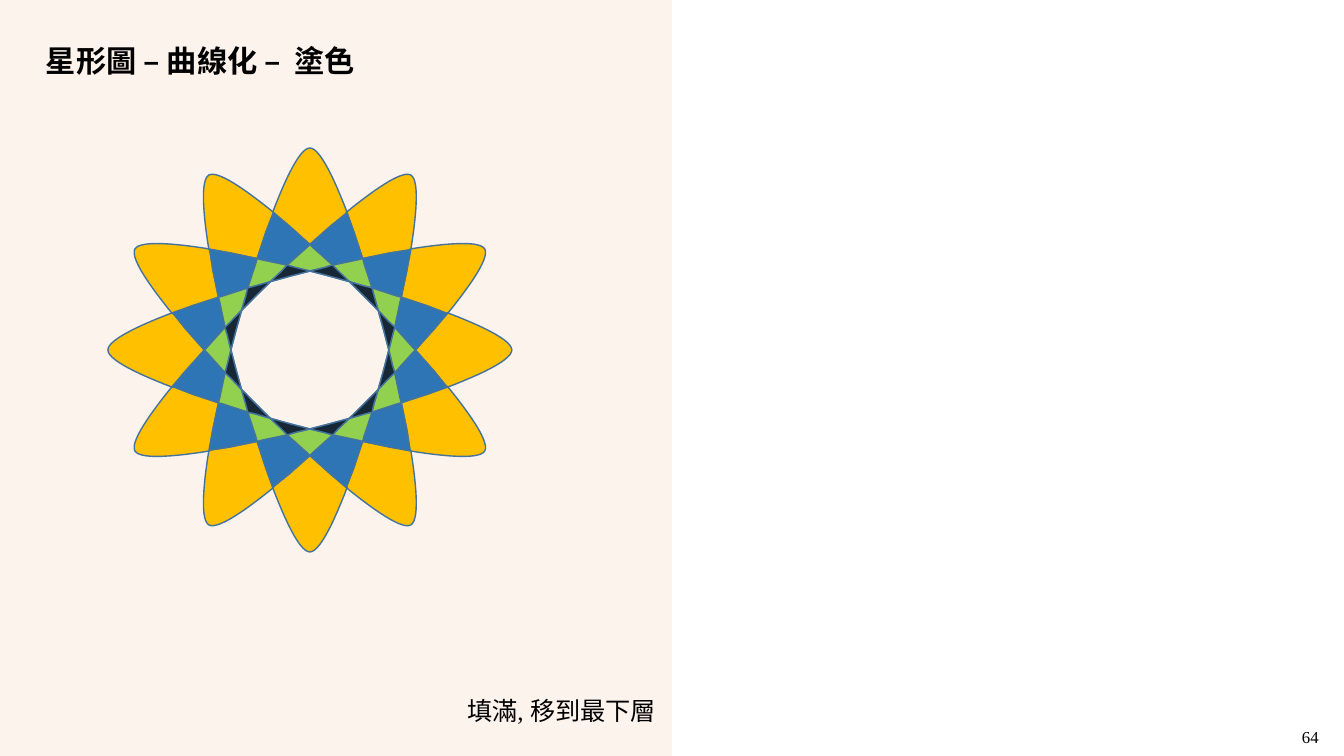
from dataclasses import dataclass
from math import cos, radians, sin

from lxml import etree
from pptx import Presentation
from pptx import util as u
from pptx.dml.color import RGBColor
from pptx.enum import shapes, text
from pptx.oxml import ns

Point = tuple[float, float]

PETALS = 12
CENTRE: Point = (7.81, 8.82)
OUTLINE = "43739E"
CJK_FONT = "Noto Sans CJK SC"
LATIN_FONT = "Times New Roman"


@dataclass(frozen=True)
class Ring:
    fill: str
    tile: list[Point]


@dataclass(frozen=True)
class Label:
    wording: str
    left: float
    top: float
    width: float
    height: float
    size: float
    font: str = LATIN_FONT
    bold: bool = False
    wrap: bool = True
    anchor: text.MSO_ANCHOR = text.MSO_ANCHOR.MIDDLE
    align: text.PP_ALIGN = text.PP_ALIGN.LEFT
    spacing: float = 1.0
    outline: shapes.MSO_SHAPE = shapes.MSO_SHAPE.RECTANGLE


def colour(code: str) -> RGBColor:
    return RGBColor.from_string(code)


def curve(start: Point, pull: Point, push: Point, end: Point, steps: int = 12) -> list[Point]:
    def along(t: float, axis: int) -> float:
        s = 1 - t
        return (s**3 * start[axis] + 3 * s * s * t * pull[axis]
                + 3 * s * t * t * push[axis] + t**3 * end[axis])

    return [(along(i / steps, 0), along(i / steps, 1)) for i in range(steps + 1)]


def mirrored(half: list[Point]) -> list[Point]:
    return half + [(-x, y) for x, y in half[-2:0:-1]]


def rotated(points: list[Point], degrees: float) -> list[Point]:
    c, s = cos(radians(degrees)), sin(radians(degrees))
    return [(x * c - y * s, x * s + y * c) for x, y in points]


def all_turns(points: list[Point]) -> list[list[Point]]:
    return [rotated(points, turn * 360 / PETALS) for turn in range(PETALS)]


def set_alpha(properties, percent: int) -> None:
    shade = properties.find(".//" + ns.qn("a:srgbClr"))
    etree.SubElement(shade, ns.qn("a:alpha")).set("val", str(percent * 1000))


def draw_outline(slide, points: list[Point], fill: str | None = None):
    placed = [(u.Cm(CENTRE[0] + x), u.Cm(CENTRE[1] + y)) for x, y in points]
    builder = slide.shapes.build_freeform(*placed[0])
    builder.add_line_segments(placed[1:], close=True)
    outline = builder.convert_to_shape()
    outline.shadow.inherit = False
    outline.line.color.rgb = colour(OUTLINE)
    outline.line.width = u.Pt(1)
    if fill:
        outline.fill.solid()
        outline.fill.fore_color.rgb = colour(fill)
    else:
        outline.fill.background()
    return outline


def draw_ring(slide, ring: Ring) -> None:
    tiles = [draw_outline(slide, tile, ring.fill) for tile in all_turns(ring.tile)]
    slide.shapes.add_group_shape(tiles)


def draw_label(slide, label: Label) -> None:
    box = slide.shapes.add_shape(
        label.outline, *map(u.Cm, (label.left, label.top, label.width, label.height)))
    box.shadow.inherit = False
    box.fill.background()
    box.line.fill.background()
    frame = box.text_frame
    frame.text = label.wording
    frame.word_wrap = label.wrap
    frame.vertical_anchor = label.anchor
    paragraph = frame.paragraphs[0]
    paragraph.alignment = label.align
    paragraph.line_spacing = label.spacing
    run = paragraph.runs[0]
    run.font.name = label.font
    run.font.size = u.Pt(label.size)
    run.font.bold = label.bold
    run.font.color.rgb = colour("000000")
    east_asian = etree.SubElement(run.font._element, ns.qn("a:ea"))
    east_asian.set("typeface", CJK_FONT)


def draw_left_half(slide, width: float, height: float) -> None:
    panel = slide.shapes.add_shape(
        shapes.MSO_SHAPE.RECTANGLE, 0, 0, u.Cm(width), u.Cm(height))
    panel.shadow.inherit = False
    panel.fill.solid()
    panel.fill.fore_color.rgb = colour("F4B183")
    set_alpha(panel._element.spPr, 14)
    panel.line.fill.background()
    divider = slide.shapes.add_connector(
        shapes.MSO_CONNECTOR.STRAIGHT, u.Cm(width), u.Cm(height), u.Cm(width), 0)
    divider.line.color.rgb = colour("FBE5D6")
    divider.line.width = u.Pt(0.25)
    set_alpha(divider._element.spPr, 50)
    etree.SubElement(divider._element.spPr, ns.qn("a:effectLst"))


PETAL_SIDE = curve((0, -5.09), (0.22, -5.09), (0.53, -4.5), (0.86, -3.67))
RINGS = [
    Ring("FFC000", mirrored(PETAL_SIDE + [(0.94, -3.46), (0.53, -3.13), (0, -2.66)])),
    Ring("2E75B6", [(0.94, -3.46), (1.12, -2.95), (1.33, -2.3), (1.22, -2.27),
                    (0.57, -2.14), (0.09, -2.57), (0, -2.66), (0.53, -3.13)]),
    Ring("92D050", mirrored([(0, -2.66), (0.09, -2.57), (0.57, -2.14),
                             (0.38, -2.08), (0, -1.99)])),
    Ring("172735", [(0.57, -2.14), (0.73, -1.98), (1, -1.72),
                    (0.5, -1.86), (0, -1.99), (0.38, -2.08)]),
]
HOLE = [point for pair in all_turns([(0, -1.99), (0.5, -1.86)]) for point in pair]

TITLE = Label("星形圖 – 曲線化 –  塗色", 0.91, 1.02, 15.11, 1.12, 21.6,
              font=CJK_FONT, bold=True, spacing=0.9)
INSTRUCTION = Label("填滿, 移到最下層", 11.43, 17.32, 5.41, 1.14, 18,
                    align=text.PP_ALIGN.RIGHT,
                    outline=shapes.MSO_SHAPE.ROUNDED_RECTANGLE)
PAGE_NUMBER = Label("64", 32.56, 18.19, 0.94, 0.76, 12,
                    wrap=False, anchor=text.MSO_ANCHOR.TOP)


def main() -> None:
    deck = Presentation()
    deck.slide_width, deck.slide_height = u.Cm(33.87), u.Cm(19.05)
    slide = deck.slides.add_slide(deck.slide_layouts[6])
    draw_left_half(slide, 16.93, 19.05)
    draw_label(slide, TITLE)
    draw_outline(slide, HOLE)
    draw_label(slide, INSTRUCTION)
    for ring in RINGS:
        draw_ring(slide, ring)
    draw_label(slide, PAGE_NUMBER)
    deck.save("out.pptx")


if __name__ == "__main__":
    main()
